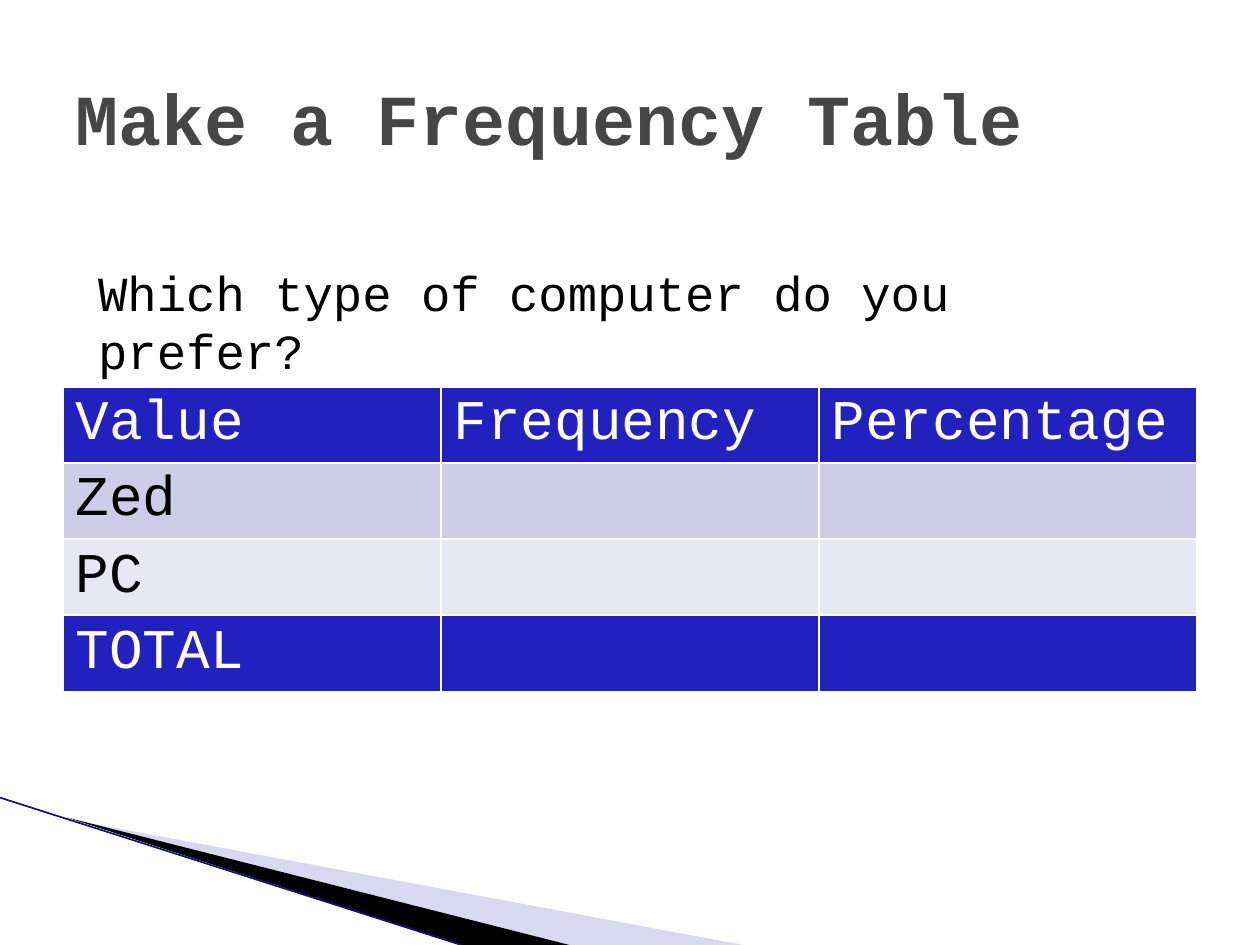
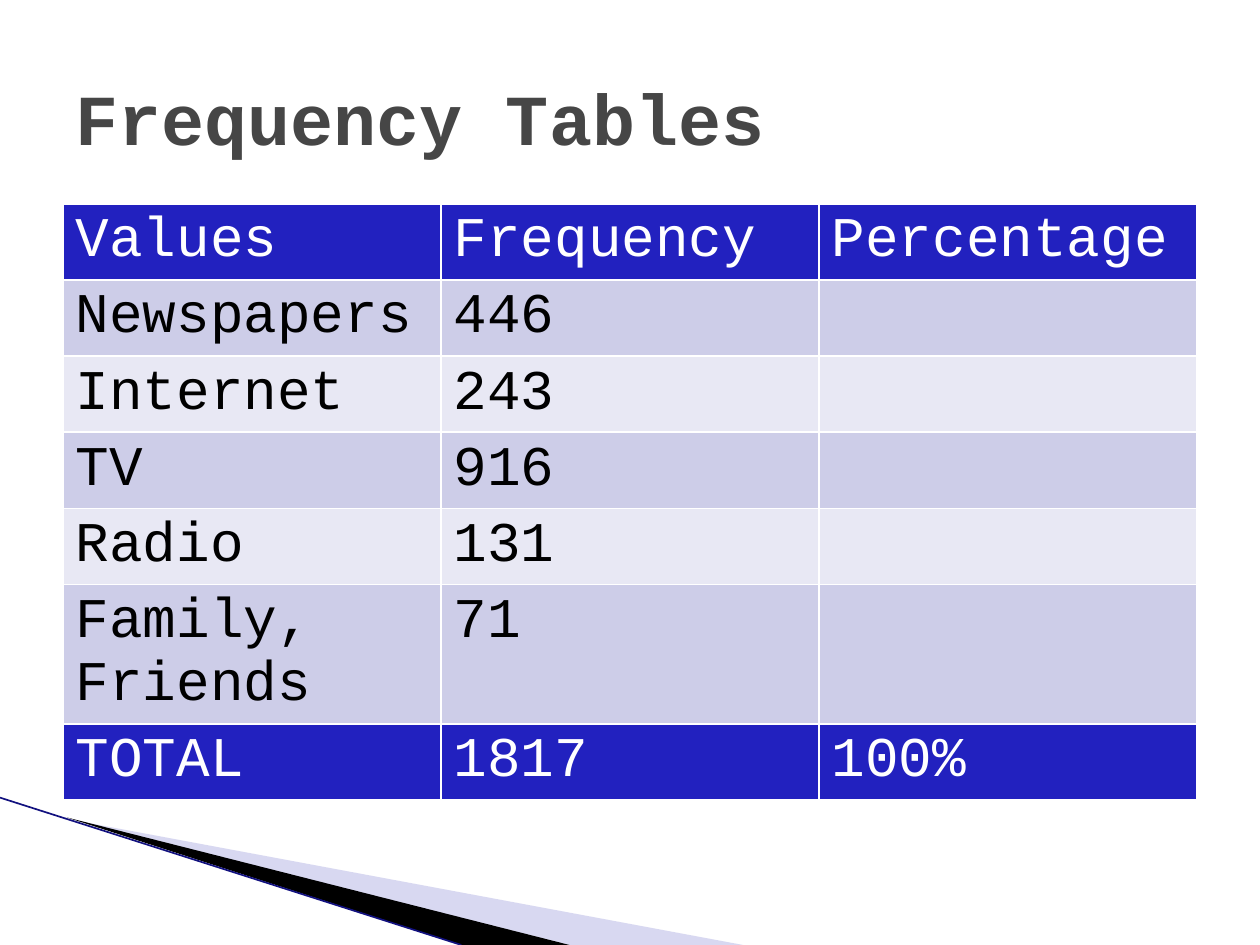
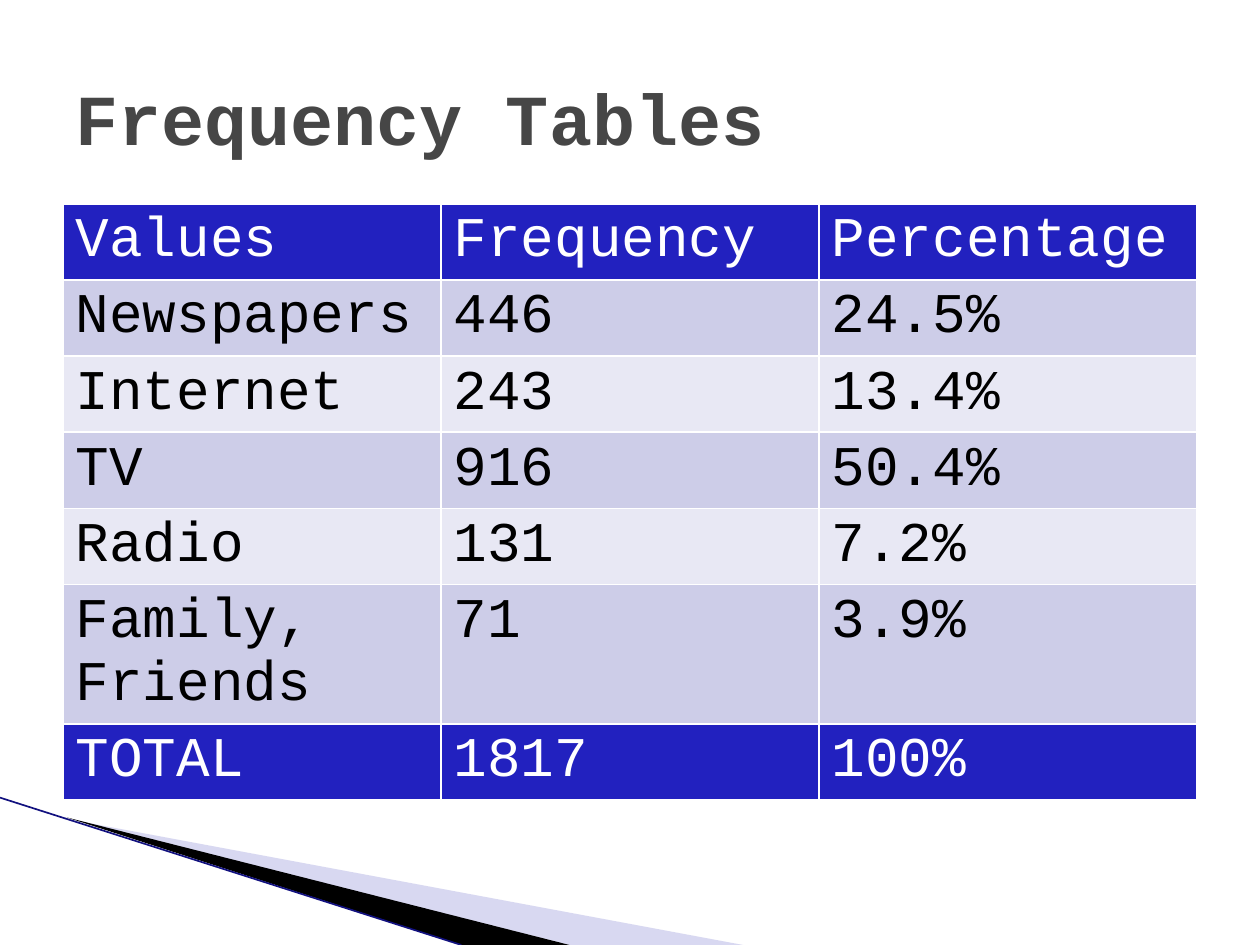
from dataclasses import dataclass

from lxml.etree import SubElement
from pptx import Presentation
from pptx.dml.color import RGBColor
from pptx.enum.shapes import MSO_CONNECTOR
from pptx.enum.text import MSO_ANCHOR, MSO_AUTO_SIZE, PP_ALIGN
from pptx.oxml.ns import qn
from pptx.util import Cm, Pt


@dataclass(frozen=True)
class Theme:
    font: str = "Courier New"
    gray: str = "464646"
    black: str = "000000"
    white: str = "FFFFFF"
    blue: str = "2221BF"
    navy: str = "12117F"
    lilac: str = "9F9FDC"
    bands: tuple = ("CDCDE8", "E8E8F4")
    title: int = 41
    prompt: int = 28
    cell: int = 32


THEME = Theme()
LEFT, WIDTH = 1.27, 22.86
ROW = 1.04

SURVEY = [("Newspapers", "446", "24.5%"), ("Internet", "243", "13.4%"),
          ("TV", "916", "50.4%"), ("Radio", "131", "7.2%"),
          ("Family, Friends", "71", "3.9%")]


def rgb(color):
    return RGBColor.from_string(color)


def add_run(para, text, size, color, bold=False):
    run = para.add_run()
    run.text = text
    font = run.font
    font.name, font.size, font.bold = THEME.font, Pt(size), bold
    font.color.rgb = rgb(color)


# Shared corner decoration
def add_wedge(slide, points, color, alpha=None):
    start, *rest = [(Cm(x), Cm(y)) for x, y in points]
    form = slide.shapes.build_freeform(*start)
    form.add_line_segments(rest, close=True)
    wedge = form.convert_to_shape()
    wedge.shadow.inherit = False
    wedge.fill.solid()
    wedge.fill.fore_color.rgb = rgb(color)
    wedge.line.fill.background()
    if alpha is not None:
        tint = next(wedge.element.spPr.iter(qn("a:srgbClr")))
        SubElement(tint, qn("a:alpha"), val=str(alpha * 1000))
    return wedge


def add_edge(slide, start, end):
    edge = slide.shapes.add_connector(
        MSO_CONNECTOR.STRAIGHT, *[Cm(v) for v in (*start, *end)])
    edge.line.color.rgb = rgb(THEME.navy)
    edge.line.width = Pt(0.95)
    SubElement(edge.element.spPr, qn("a:effectLst"))
    return edge


def dress_layout(layout, slide):
    """Draw the corner on a slide, then move it into the shared layout."""
    title, *extras = list(layout.placeholders)
    for extra in extras:
        extra.element.getparent().remove(extra.element)
    corner = [
        add_wedge(slide, [(1.4, 16.52), (14.98, 19.05), (11.48, 19.05)],
                  THEME.lilac, alpha=40),
        add_wedge(slide, [(1.35, 16.48), (11.48, 19.05), (9.3, 19.05)],
                  THEME.black),
        add_edge(slide, (0, 16.08), (9.3, 19.05)),
    ]
    for part in corner:
        title.element.addprevious(part.element)


# Text
def set_title(slide, text):
    title = slide.shapes.title
    title.left, title.top = Cm(LEFT), Cm(0.76)
    title.width, title.height = Cm(WIDTH), Cm(3.18)
    frame = title.text_frame
    frame.auto_size = MSO_AUTO_SIZE.NONE
    frame.vertical_anchor = MSO_ANCHOR.MIDDLE
    para = frame.paragraphs[0]
    para.alignment = PP_ALIGN.LEFT
    add_run(para, text, THEME.title, THEME.gray, bold=True)


def add_prompt(slide, text):
    box = slide.shapes.add_textbox(Cm(1.73), Cm(5.16), Cm(21.34), Cm(1.45))
    frame = box.text_frame
    frame.word_wrap = True
    frame.auto_size = MSO_AUTO_SIZE.SHAPE_TO_FIT_TEXT
    add_run(frame.paragraphs[0], text, THEME.prompt, THEME.black)


# Table
def set_borders(cell):
    props = cell._tc.get_or_add_tcPr()
    for side in "LRTB":
        line = SubElement(props, qn(f"a:ln{side}"), w=str(Pt(1)))
        fill = SubElement(line, qn("a:solidFill"))
        SubElement(fill, qn("a:srgbClr"), val=THEME.white)


def add_grid(slide, top, rows):
    count, last = len(rows[0]), len(rows) - 1
    table = slide.shapes.add_table(
        len(rows), count, Cm(LEFT), Cm(top), Cm(WIDTH),
        Cm(ROW * len(rows))).table
    table.first_row = table.horz_banding = False
    for i, row in enumerate(rows):
        strong = i in (0, last)
        color = THEME.white if strong else THEME.black
        shade = THEME.blue if strong else THEME.bands[(i - 1) % 2]
        for j, text in enumerate(row):
            cell = table.cell(i, j)
            set_borders(cell)
            cell.fill.solid()
            cell.fill.fore_color.rgb = rgb(shade)
            if text:
                add_run(cell.text_frame.paragraphs[0], text, THEME.cell, color)


def add_survey(slide, solved):
    set_title(slide, "Frequency Tables")
    body = [(name, freq, share if solved else "")
            for name, freq, share in SURVEY]
    add_grid(slide, 4.11, [("Values", "Frequency", "Percentage"), *body,
                           ("TOTAL", "1817", "100%")])


def main():
    deck = Presentation()
    deck.slide_width, deck.slide_height = Cm(25.4), Cm(19.05)
    layout = deck.slide_layouts.get_by_name("Title Only")
    blank, open_, done = [deck.slides.add_slide(layout) for _ in range(3)]
    dress_layout(layout, blank)

    # Blank table to fill in
    set_title(blank, "Make a Frequency Table")
    add_grid(blank, 7.8, [("Value", "Frequency", "Percentage"),
                          ("Zed", "", ""), ("PC", "", ""), ("TOTAL", "", "")])
    add_prompt(blank, "Which type of computer do you prefer?")

    # Survey without and with its percentages
    add_survey(open_, solved=False)
    add_survey(done, solved=True)
    deck.save("out.pptx")


if __name__ == "__main__":
    main()
